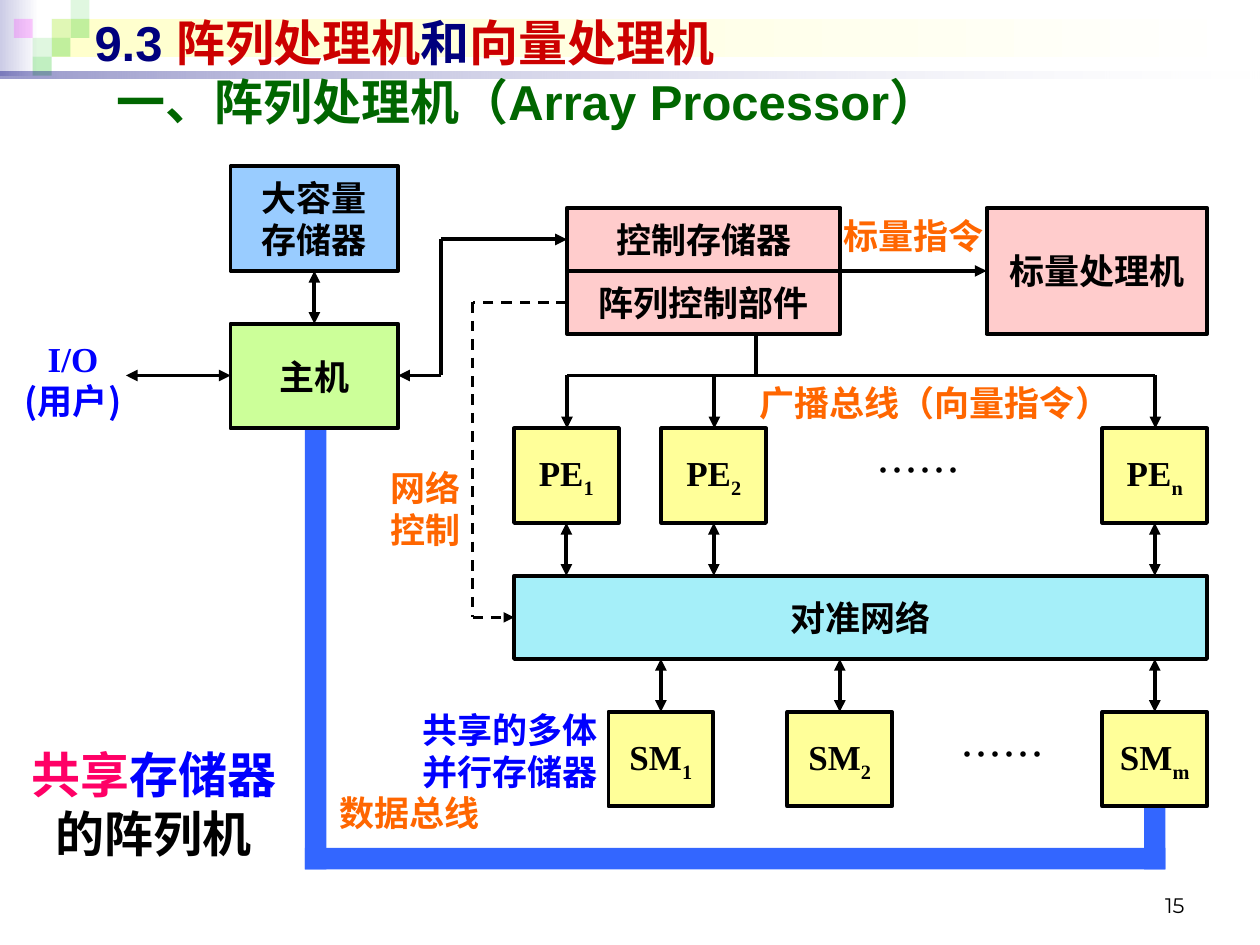
from dataclasses import dataclass

import pptx
import pptx.dml.color
import pptx.enum.dml
import pptx.enum.shapes
import pptx.enum.text
import pptx.oxml.ns
import pptx.util
from lxml import etree

Inches = pptx.util.Inches
Align = pptx.enum.text.PP_ALIGN
Anchor = pptx.enum.text.MSO_ANCHOR
qn = pptx.oxml.ns.qn


@dataclass(frozen=True)
class Theme:
    sans: str = "Arial"
    serif: str = "Times New Roman"
    cjk: str = "Noto Sans CJK SC"
    number: str = "Montserrat"
    heading: int = 28
    dots: int = 24
    body: int = 20
    small: int = 12
    line: float = 2.25
    thin: float = 1.5
    black: str = "000000"
    white: str = "FFFFFF"
    navy: str = "00007D"
    red: str = "CC0000"
    green: str = "006600"
    blue: str = "0000FF"
    orange: str = "FF6600"
    rose: str = "FF0066"
    bus: str = "3366FF"
    network: str = "A5EFF9"
    unit: str = "FFFF99"
    control: str = "FFCCCC"
    host: str = "CCFF99"
    storage: str = "99CCFF"
    corner: str = "CCCCE6"
    band: str = "FFFFCC"
    tile: str = "33CC33"
    accent: str = "FF00FF"


T = Theme()


def rgb(value):
    return pptx.dml.color.RGBColor.from_string(value)


def set_alpha(parent, *percents):
    for clr, percent in zip(parent.iter(qn("a:srgbClr")), percents):
        etree.SubElement(clr, qn("a:alpha")).set("val", str(percent * 1000))


def write(tf, runs, size=T.body, font=T.sans, color=T.black, bold=True,
          align=Align.CENTER, anchor=Anchor.MIDDLE, wrap=True):
    """Fill a frame with runs: plain strings or (text, overrides) pairs."""
    tf.word_wrap, tf.vertical_anchor = wrap, anchor
    p = tf.paragraphs[0]
    p.alignment = align
    for run in [runs] if isinstance(runs, str) else runs:
        text, own = (run, {}) if isinstance(run, str) else run
        for i, part in enumerate(text.split("\n")):
            if i:
                p.add_line_break()
            if not part:
                continue
            r = p.add_run()
            r.text = part
            r.font.size, r.font.bold = pptx.util.Pt(size), bold
            r.font.name = own.get("font", font)
            r.font.color.rgb = rgb(own.get("color", color))
            rpr = r.font._element
            etree.SubElement(rpr, qn("a:ea")).set("typeface", T.cjk)
            if own.get("sub"):
                rpr.set("baseline", "-25000")


def rect(s, x, y, w, h, fill, alpha=None, runs=None, font=T.sans):
    """A plain block, or an outlined one when it carries text."""
    sp = s.shapes.add_shape(pptx.enum.shapes.MSO_SHAPE.RECTANGLE,
                            Inches(x), Inches(y), Inches(w), Inches(h))
    sp.shadow.inherit = False
    if isinstance(fill, tuple):
        sp.fill.gradient()
        sp.fill.gradient_angle = 0
        for stop, color in zip(sp.fill.gradient_stops, fill):
            stop.color.rgb = rgb(color)
    else:
        sp.fill.solid()
        sp.fill.fore_color.rgb = rgb(fill)
    if alpha:
        set_alpha(sp._element.spPr, *alpha)
    if runs:
        sp.line.color.rgb = rgb(T.black)
        sp.line.width = pptx.util.Pt(T.line)
        write(sp.text_frame, runs, font=font, wrap=False)
    else:
        sp.line.fill.background()


def label(s, x, y, w, h, runs, **style):
    tb = s.shapes.add_textbox(Inches(x), Inches(y), Inches(w), Inches(h))
    write(tb.text_frame, runs, **{"font": T.serif, "anchor": Anchor.TOP, **style})


def line(s, x1, y1, x2, y2, ends="", dashed=False):
    """ends names the arrowheads: headEnd is the start, tailEnd the finish."""
    cn = s.shapes.add_connector(pptx.enum.shapes.MSO_CONNECTOR.STRAIGHT,
                                Inches(x1), Inches(y1), Inches(x2), Inches(y2))
    cn.line.color.rgb = rgb(T.black)
    cn.line.width = pptx.util.Pt(T.thin if dashed else T.line)
    if dashed:
        cn.line.dash_style = pptx.enum.dml.MSO_LINE.DASH
    ln = cn.line._get_or_add_ln()
    for end in ends.split():
        etree.SubElement(ln, qn("a:" + end)).set("type", "triangle")
    etree.SubElement(cn._element.spPr, qn("a:effectLst"))


BOTH, TO = "headEnd tailEnd", "tailEnd"


def banner(s, x, y, w):
    rect(s, x, y, 0.31, 0.6, (T.corner, T.white))
    rect(s, x + 0.41, y + 0.15, w - 0.45, 0.3, (T.band, T.white))
    tiles = [(2, 1, T.tile, 15), (3, 0, T.tile, 15), (3, 1, T.tile, 30),
             (1, 2, T.tile, 15), (0, 1, T.accent, 20), (2, 2, T.tile, 30),
             (1, 3, T.tile, 30)]
    for col, row, color, alpha in tiles:
        rect(s, x + 0.11 + col * 0.15, y + row * 0.15, 0.15, 0.15, color, (alpha,))
    rect(s, x, y + 0.57, w, 0.05, (T.navy, T.white), (40, 10))


def headings(s, x, y, w, h):
    title = s.shapes.title
    title.left, title.top = Inches(x), Inches(y)
    title.width, title.height = Inches(w), Inches(h)
    write(title.text_frame, ["9.3 ", ("阵列处理机", {"color": T.red}), "和",
                             ("向量处理机", {"color": T.red})],
          size=T.heading, color=T.navy, align=Align.LEFT)
    s.shapes._spTree.append(title._element)  # in front of the banner
    label(s, x + 0.18, y + 0.47, w - 0.16, h, "一、阵列处理机（Array Processor）",
          size=T.heading, font=T.sans, color=T.green, align=Align.LEFT,
          anchor=Anchor.MIDDLE)


def data_bus(s, x, y, w, h, bar=0.17, riser=0.5):
    rect(s, x, y + h - bar, w, bar, T.bus)
    rect(s, x, y, bar, h, T.bus)
    rect(s, x + w - bar, y + h - riser, bar, riser, T.bus)
    label(s, x + 0.08, y + 2.83, 1.5, 0.43, "数据总线", color=T.orange)


def unit_row(s, x, y, name, units, dots_at, link_y):
    """Units as (offset, index), each linked to the network edge at link_y."""
    w, h = 0.83, 0.75
    for dx, index in units:
        rect(s, x + dx, y, w, h, T.unit, runs=[name, (index, {"sub": True})],
             font=T.serif)
        mid = x + dx + w / 2
        edge = y if link_y < y else y + h
        line(s, mid, min(edge, link_y), mid, max(edge, link_y), BOTH)
    label(s, x + dots_at, y + 0.08, 0.92, 0.5, "……", size=T.dots, font=T.cjk,
          bold=False)


def processing_array(s, x, y, w):
    """Broadcast bus, processing elements, network and shared memories."""
    pe_y, net_y, net_h, sm_y = y + 0.42, y + 1.59, 0.66, y + 2.67
    rect(s, x, net_y, w, net_h, T.network, runs="对准网络")
    unit_row(s, x, sm_y, "SM", [(0.75, "1"), (2.17, "2"), (4.67, "m")],
             3.42, net_y + net_h)
    elements = [(0, "1"), (1.17, "2"), (4.67, "n")]
    unit_row(s, x, pe_y, "PE", elements, 2.75, net_y)
    drops = [x + dx + 0.42 for dx, _ in elements]
    for drop in drops:
        line(s, drop, y, drop, pe_y, TO)
    line(s, drops[0], y, drops[-1], y)
    label(s, x + 1.84, y, 3, 0.43, "广播总线（向量指令）", color=T.orange)
    label(s, x - 0.91, sm_y - 0.08, 1.75, 0.77, "共享的多体\n并行存储器", color=T.blue)


def control_unit(s, x, y, w, h):
    unit_w, scalar_w = 2.17, 1.75
    mid, scalar_x = y + h / 2, x + w - scalar_w
    for row, text in enumerate(["控制存储器", "阵列控制部件"]):
        rect(s, x, y + row * h / 2, unit_w, h / 2, T.control, runs=text)
    rect(s, scalar_x, y, scalar_w, h, T.control, runs="标量处理机")
    line(s, x + unit_w, mid, scalar_x, mid, TO)
    line(s, x + 1.5, y + h, x + 1.5, y + h + 0.33)
    label(s, x + 2, y, 1.5, 0.43, "标量指令", color=T.orange)


def network_control(s, x, y, w, h):
    """Dashed path from the control unit round to the network."""
    line(s, x + w, y, x, y, dashed=True)
    line(s, x, y, x, y + h, dashed=True)
    line(s, x, y + h, x + 0.33, y + h, TO, dashed=True)
    label(s, x - 0.83, y + 1.25, 0.92, 0.77, "网络\n控制", color=T.orange)


def host_side(s, x, y, w, h, control_x, control_y):
    gap, right = 0.42, x + w
    host_y, turn = y + h + gap, right + 0.34
    mid = host_y + 0.41
    rect(s, x, host_y, w, h, T.host, runs="主机")
    rect(s, x, y, w, h, T.storage, runs="大容量\n存储器")
    line(s, x + w / 2, y + h, x + w / 2, host_y, BOTH)
    line(s, turn, mid, right, mid, TO)
    line(s, turn, control_y, control_x, control_y, TO)
    line(s, turn, control_y, turn, mid)
    line(s, x, mid, x - 0.83, mid, BOTH)
    label(s, x - 1.75, host_y + 0.06, 1, 0.77,
          ["I/O\n", ("(", {"font": T.cjk}), "用户", (")", {"font": T.cjk})],
          color=T.blue)


def main():
    prs = pptx.Presentation()
    prs.slide_width, prs.slide_height = Inches(10), Inches(7.5)
    s = prs.slides.add_slide(prs.slide_layouts[5])
    banner(s, 0, 0, 10)
    headings(s, 0.65, 0.05, 9, 0.57)
    data_bus(s, 2.42, 3.4, 6.83, 3.5)
    processing_array(s, 4.08, 2.98, 5.5)
    control_unit(s, 4.5, 1.65, 5.08, 1)
    host_side(s, 1.83, 1.32, 1.33, 0.83, control_x=4.5, control_y=1.9)
    network_control(s, 3.75, 2.4, 0.75, 2.5)
    label(s, 0.12, 5.86, 2.2, 1.03,
          [("共享", {"color": T.rose}), ("存储器\n", {"color": T.blue}), "的阵列机"],
          size=T.heading)
    label(s, 7.17, 6.83, 2.33, 0.5, "15", size=T.small, font=T.number,
          bold=False, align=Align.RIGHT, anchor=Anchor.BOTTOM)
    prs.save("out.pptx")


if __name__ == "__main__":
    main()
